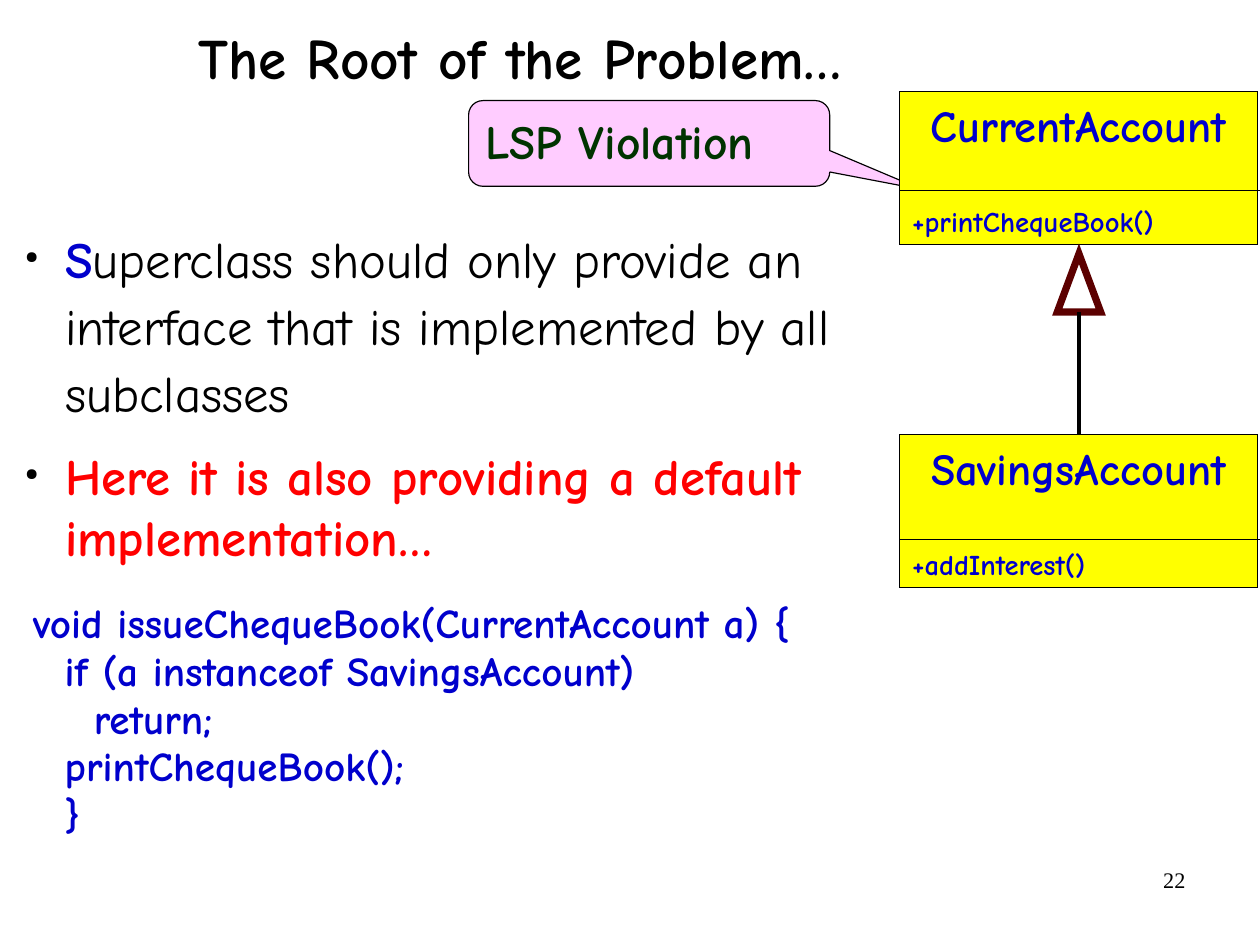
import pptx
import pptx.util
import pptx.dml.color
import pptx.enum.shapes
import pptx.enum.text
import pptx.oxml
import pptx.oxml.ns
from lxml import etree

Inches = pptx.util.Inches
Pt = pptx.util.Pt
SHAPE = pptx.enum.shapes.MSO_SHAPE
ALIGN = pptx.enum.text.PP_ALIGN
ANCHOR = pptx.enum.text.MSO_ANCHOR

CM_PER_INCH = 2.54
FONT = "Comic Neue"
BLUE = "0000CC"
YELLOW = "FFFF00"
CODE = """void issueChequeBook(CurrentAccount a) {
  if (a instanceof SavingsAccount)
    return;
  printChequeBook();
  }"""


def color(value):
    return pptx.dml.color.RGBColor.from_string(value)


def set_font(font, size, hex_color, bold=True, name=FONT):
    font.name = name
    font.size = Pt(size)
    font.bold = bold
    font.color.rgb = color(hex_color)


def set_frame(tf, x_inset=0.11, y_inset=0.06, anchor=ANCHOR.TOP):
    tf.word_wrap = True
    tf.margin_left = tf.margin_right = Inches(x_inset)
    tf.margin_top = tf.margin_bottom = Inches(y_inset)
    tf.vertical_anchor = anchor


def add_text(slide, box, x_inset=0, y_inset=0, anchor=ANCHOR.TOP):
    tf = slide.shapes.add_textbox(*map(Inches, box)).text_frame
    set_frame(tf, x_inset, y_inset, anchor)
    return tf


def add_shape(slide, kind, box, fill, line, width):
    sp = slide.shapes.add_shape(kind, *map(Inches, box))
    sp.shadow.inherit = False
    sp.fill.solid()
    sp.fill.fore_color.rgb = color(fill)
    sp.line.color.rgb = color(line)
    sp.line.width = Pt(width)
    miter = etree.SubElement(sp._element.spPr.find(pptx.oxml.ns.qn("a:ln")),
                             pptx.oxml.ns.qn("a:miter"))
    miter.set("lim", "800000")
    return sp


def add_line(slide, x1, y1, x2, y2, width):
    line = slide.shapes.add_connector(
        pptx.enum.shapes.MSO_CONNECTOR.STRAIGHT, *map(Inches, (x1, y1, x2, y2)))
    line.line.color.rgb = color("000000")
    line.line.width = Pt(width)
    etree.SubElement(line._element.spPr, pptx.oxml.ns.qn("a:effectLst"))


def set_indent(p, left, first):
    p_pr = p._p.get_or_add_pPr()
    p_pr.set("marL", str(Inches(left)))
    p_pr.set("indent", str(Inches(first)))
    return p_pr


def add_bullet(p):
    p_pr = set_indent(p, 0.46, -0.35)
    ns = pptx.oxml.ns.nsdecls("a")
    for xml in (f'<a:buClr {ns}><a:srgbClr val="000000"/></a:buClr>',
                f'<a:buSzPct {ns} val="33000"/>',
                f'<a:buChar {ns} char="●"/>'):
        p_pr.append(pptx.oxml.parse_xml(xml))


def add_title(slide, box):
    p = add_text(slide, box, anchor=ANCHOR.MIDDLE).paragraphs[0]
    p.text = "The Root of the Problem…"
    p.alignment = ALIGN.CENTER
    p.line_spacing = 0.88
    set_font(p.font, 36, "000000")


def add_page_number(slide, box):
    p = add_text(slide, box, 0.1, 0.05).paragraphs[0]
    p.text = "22"
    p.alignment = ALIGN.RIGHT
    set_font(p.font, 14, "000000", False, "Times New Roman")


def add_code(slide, box):
    p = add_text(slide, box).paragraphs[0]
    set_indent(p, 0.46, -0.02)
    p.text = CODE.replace("\n", "\v")
    p.line_spacing = 0.97
    set_font(p.font, 25.9, BLUE)


def add_points(slide, box):
    tf = add_text(slide, box, 0.11, 0.06)
    points = [
        (1.1, [("S", BLUE, True),
               ("uperclass should only provide an interface that is "
                "implemented by all subclasses", "000000", False)]),
        (1.0, [("Here it is also providing a default implementation…",
                "FF0000", True)]),
    ]
    for i, (spacing, runs) in enumerate(points):
        p = tf.add_paragraph() if i else tf.paragraphs[0]
        add_bullet(p)
        p.line_spacing = spacing
        p.space_after = Pt(14)
        for text, hex_color, bold in runs:
            r = p.add_run()
            r.text = text
            set_font(r.font, 32, hex_color, bold)


def add_callout(slide, box):
    sp = add_shape(slide, SHAPE.ROUNDED_RECTANGULAR_CALLOUT, box,
                   "FFCCFF", "000000", 0.75)
    for i, value in enumerate((0.756, 0.539, 0.167)):
        sp.adjustments[i] = value
    tf = sp.text_frame
    set_frame(tf, anchor=ANCHOR.MIDDLE)
    tf.margin_bottom = Inches(0.11)
    p = tf.paragraphs[0]
    p.text = "LSP Violation"
    p.alignment = ALIGN.LEFT
    set_font(p.font, 30, "003300")


def add_class(slide, box, name, method, divider):
    left, top, width, height = box
    sp = add_shape(slide, SHAPE.RECTANGLE, box, YELLOW, "000000", 0.75)
    tf = sp.text_frame
    set_frame(tf)
    p = tf.paragraphs[0]
    p.text = name
    p.alignment = ALIGN.CENTER
    set_font(p.font, 28, BLUE)
    p = tf.add_paragraph()
    p.text = method
    p.alignment = ALIGN.LEFT
    p.space_before = Pt(33)
    set_font(p.font, 18, BLUE)
    add_line(slide, left, top + divider, left + width + 0.02, top + divider, 0.75)


def add_inheritance(slide, box):
    left, top, width, height = box
    head = 0.51
    middle = left + width / 2
    add_shape(slide, SHAPE.ISOSCELES_TRIANGLE, (left, top, width, head),
              "FFFFFF", "5C0000", 4.5)
    add_line(slide, middle, top + head, middle, top + height, 3)


def main():
    prs = pptx.Presentation()
    prs.slide_width = Inches(28 / CM_PER_INCH)
    prs.slide_height = Inches(21 / CM_PER_INCH)
    slide = prs.slides.add_slide(prs.slide_layouts[6])
    add_page_number(slide, (7.9, 7.53, 2.57, 0.57))
    add_title(slide, (-0.15, 0.01, 9.4, 1.05))
    add_code(slide, (-0.15, 5.25, 10.59, 2.17))
    add_points(slide, (0, 1.88, 7.62, 2.83))
    add_callout(slide, (4.1, 0.88, 3.16, 0.75))
    add_class(slide, (7.87, 0.8, 3.13, 1.34),
              "CurrentAccount", "+printChequeBook()", 0.87)
    add_inheritance(slide, (9.25, 2.22, 0.38, 1.58))
    add_class(slide, (7.87, 3.8, 3.13, 1.34),
              "SavingsAccount", "+addInterest()", 0.92)
    prs.save("out.pptx")


if __name__ == "__main__":
    main()
